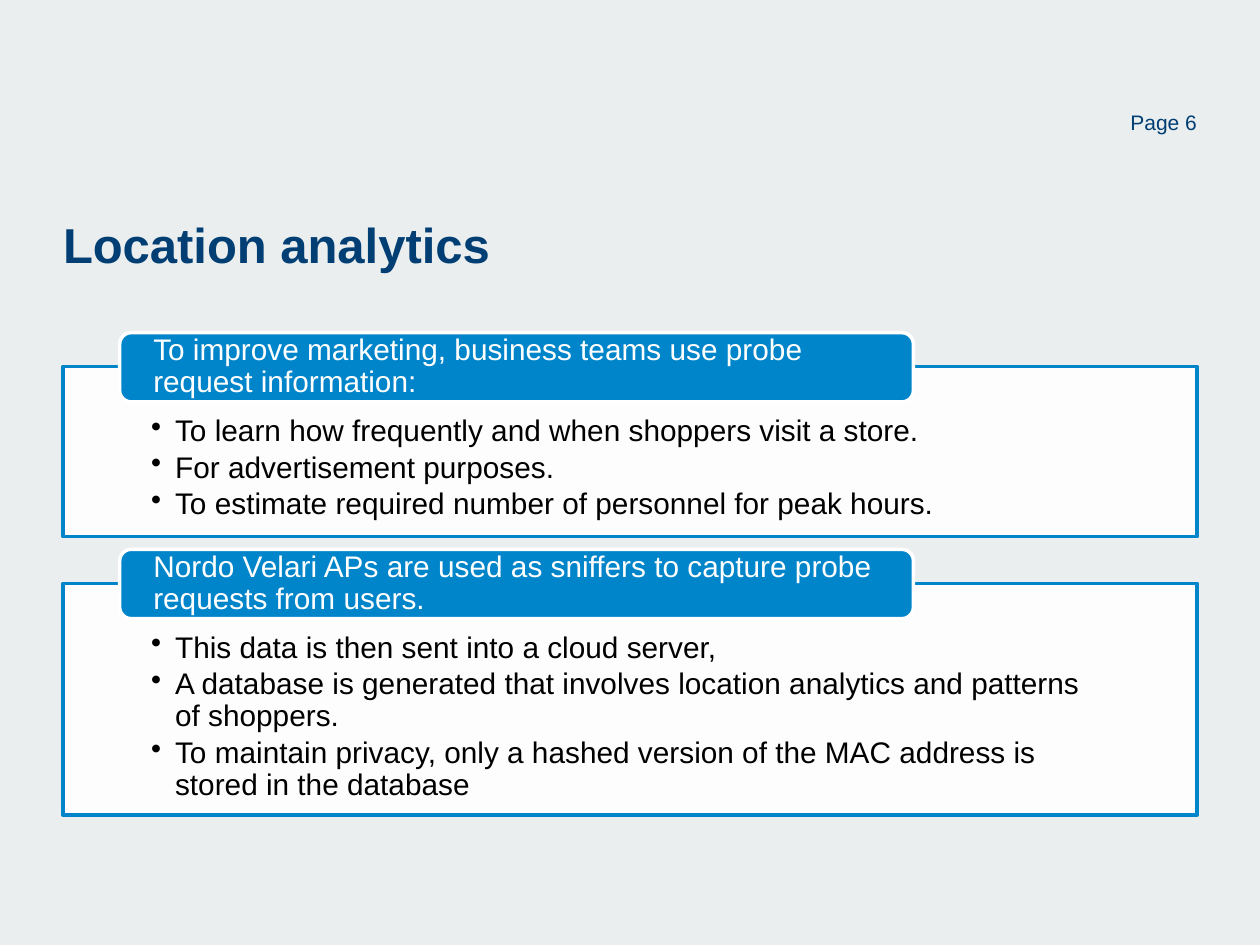
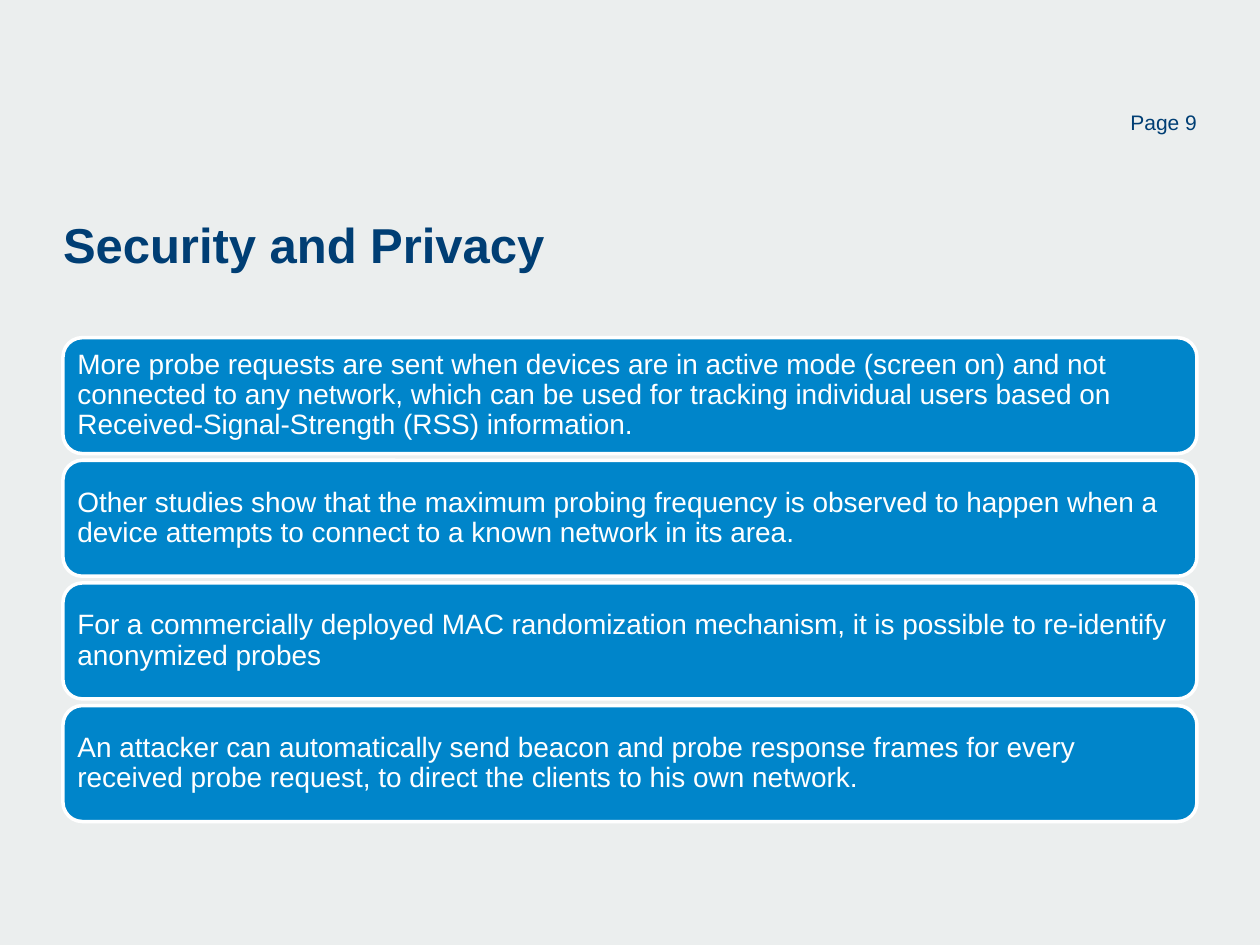
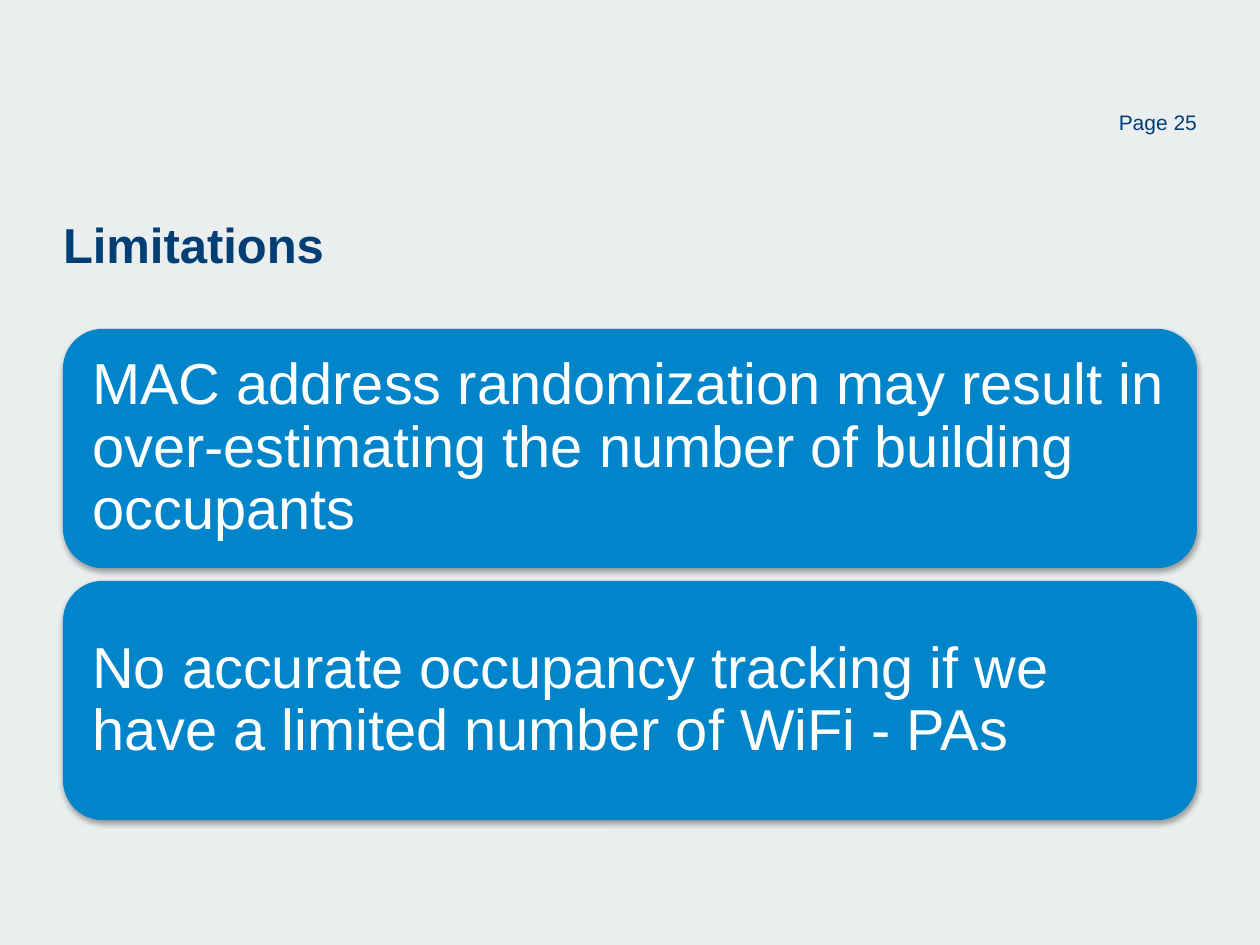
from lxml import etree
from pptx import Presentation
from pptx.dml.color import RGBColor
from pptx.enum import shapes, text
from pptx.oxml import ns
from pptx.util import Inches, Pt

NAVY = RGBColor(0x00, 0x3E, 0x74)
BLUE = RGBColor(0x00, 0x85, 0xCA)
PALE = RGBColor(0xEB, 0xEE, 0xEE)
WHITE = RGBColor(0xFF, 0xFF, 0xFF)
BLACK = RGBColor(0x00, 0x00, 0x00)
FONT = "Arial"
LEFT, WIDTH = 0.5, 9
RECT = shapes.MSO_SHAPE.RECTANGLE
ROUND = shapes.MSO_SHAPE.ROUNDED_RECTANGLE
TOP, MIDDLE = text.MSO_ANCHOR.TOP, text.MSO_ANCHOR.MIDDLE

PANELS = [
    ("To improve marketing, business teams use probe request information:", 1.35, [
        "To learn how frequently and when shoppers visit a store.",
        "For advertisement purposes.",
        "To estimate required number of personnel for peak hours.",
    ]),
    ("Nordo Velari APs are used as sniffers to capture probe requests from users.", 1.84, [
        "This data is then sent into a cloud server,",
        "A database is generated that involves location analytics and patterns of shoppers.",
        "To maintain privacy, only a hashed version of the MAC address is stored in the database",
    ]),
]
RISKS = [
    "More probe requests are sent when devices are in active mode (screen on) and not connected "
    "to any network, which can be used for tracking individual users based on "
    "Received-Signal-Strength (RSS) information.",
    "Other studies show that the maximum probing frequency is observed to happen when a device "
    "attempts to connect to a known network in its area.",
    "For a commercially deployed MAC randomization mechanism, it is possible to re-identify "
    "anonymized probes",
    "An attacker can automatically send beacon and probe response frames for every received "
    "probe request, to direct the clients to his own network.",
]
LIMITS = [
    "MAC address randomization may result in over-estimating the number of building occupants",
    "No accurate occupancy tracking if we have a limited number of WiFi - PAs",
]


def add(parent, tag, **attrs):
    node = etree.SubElement(parent, ns.qn(tag))
    for key, val in attrs.items():
        node.set(key, str(val))
    return node


def place(shape, left, top, width, height):
    shape.left, shape.top = Inches(left), Inches(top)
    shape.width, shape.height = Inches(width), Inches(height)


def write(shape, lines, size, color, pads, anchor=MIDDLE, bold=False,
          align=text.PP_ALIGN.LEFT, spacing=None):
    frame = shape.text_frame
    frame.word_wrap = True
    frame.auto_size = text.MSO_AUTO_SIZE.NONE
    frame.vertical_anchor = anchor
    (frame.margin_left, frame.margin_top,
     frame.margin_right, frame.margin_bottom) = map(Inches, pads)
    frame.text = "\n".join(lines)
    for para in frame.paragraphs:
        para.alignment = align
        para.line_spacing = spacing
        para.space_before = Pt(0)
        font = para.font
        font.name, font.size, font.bold = FONT, Pt(size), bold
        font.color.rgb = color
    return frame.paragraphs


def indent(para, hang, mark=None):
    props = para._p.get_or_add_pPr()
    props.set("marL", str(Inches(hang)))
    props.set("indent", str(-Inches(hang)))
    node = etree.Element(ns.qn("a:buChar" if mark else "a:buNone"))
    if mark:
        node.set("char", mark)
    props.find(ns.qn("a:defRPr")).addprevious(node)


def box(slide, kind, area, fill, line=None):
    shape = slide.shapes.add_shape(kind, *map(Inches, area))
    shape.shadow.inherit = False
    shape.fill.solid()
    shape.fill.fore_color.rgb = fill
    if line is None:
        shape.line.fill.background()
    else:
        shape.line.color.rgb = line
        shape.line.width = Pt(2)
    return shape


def fade(shape):
    color = shape._element.spPr.find(ns.qn("a:solidFill"))[0]
    add(color, "a:alpha", val=90000)


def shade(shape):
    effects = shape._element.spPr.find(ns.qn("a:effectLst"))
    outer = add(effects, "a:outerShdw", blurRad=Pt(3.1), dist=Pt(1.8),
                dir=90 * 60000, rotWithShape=0)
    add(add(outer, "a:srgbClr", val=BLACK), "a:alpha", val=35000)


def page(deck, title, number):
    slide = deck.slides.add_slide(deck.slide_layouts[1])
    head, label = slide.placeholders
    place(head, LEFT, 1.63, WIDTH, 0.56)
    write(head, [title], 28, NAVY, (0, 0.05, 0, 0), bold=True)
    place(label, 7.76, 0.87, 1.74, 0.28)
    para, = write(label, [f"Page {number}"], 12, NAVY, (0, 0, 0, 0), TOP,
                  align=text.PP_ALIGN.RIGHT)
    para.space_before = Pt(2.4)
    indent(para, 0)
    return slide


def panels(slide, items, top=2.91, gap=0.37):
    for name, height, points in items:
        panel = box(slide, RECT, (LEFT, top, WIDTH, height), WHITE, BLUE)
        fade(panel)
        for para in write(panel, points, 17, BLACK, (0.7, 0.39, 0.7, 0.13), TOP, spacing=0.9):
            para.space_after = Pt(2.55)
            indent(para, 0.19, "•")
        tag = box(slide, ROUND, (LEFT + 0.45, top - 0.27, 6.3, 0.55), BLUE, WHITE)
        write(tag, [name], 17, WHITE, (0.24, 0, 0.24, 0), spacing=0.9)
        top += height + gap


def cards(slide, items, top, end, height, size, pad, line=None):
    step = (end - top - height) / (len(items) - 1)
    for row, item in enumerate(items):
        card = box(slide, ROUND, (LEFT, top + row * step, WIDTH, height), BLUE, line)
        write(card, [item], size, WHITE, [pad] * 4, spacing=0.9)
        if line is None:
            shade(card)


def main():
    deck = Presentation()
    deck.slide_width, deck.slide_height = Inches(10), Inches(7.5)
    back = deck.slide_master.background.fill
    back.solid()
    back.fore_color.rgb = PALE
    panels(page(deck, "Location analytics", 6), PANELS)
    cards(page(deck, "Security and Privacy", 9), RISKS, 2.68, 6.52, 0.92, 16, 0.07, WHITE)
    cards(page(deck, "Limitations", 25), LIMITS, 2.61, 6.51, 1.9, 33, 0.14)
    deck.save("out.pptx")


if __name__ == "__main__":
    main()
